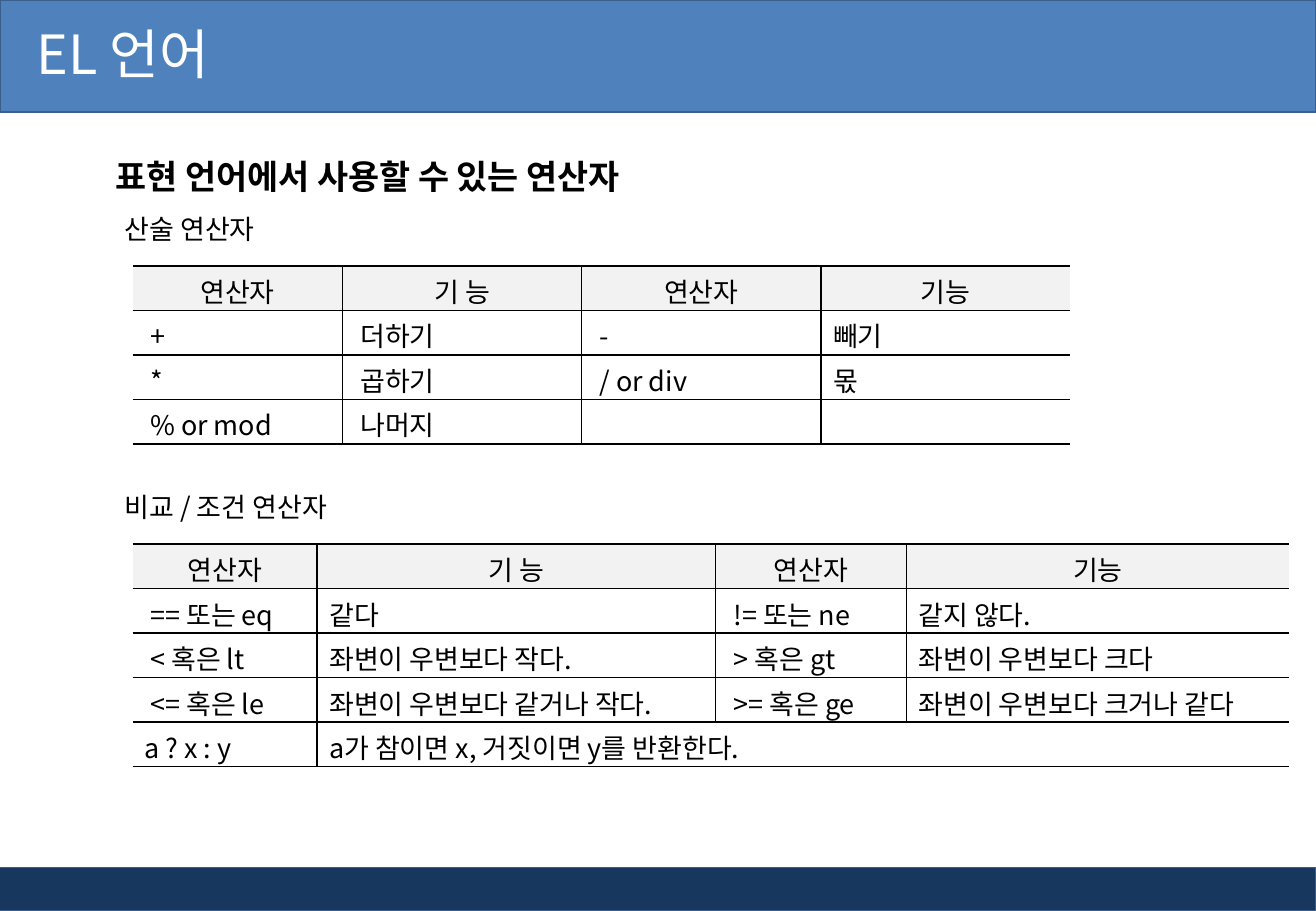
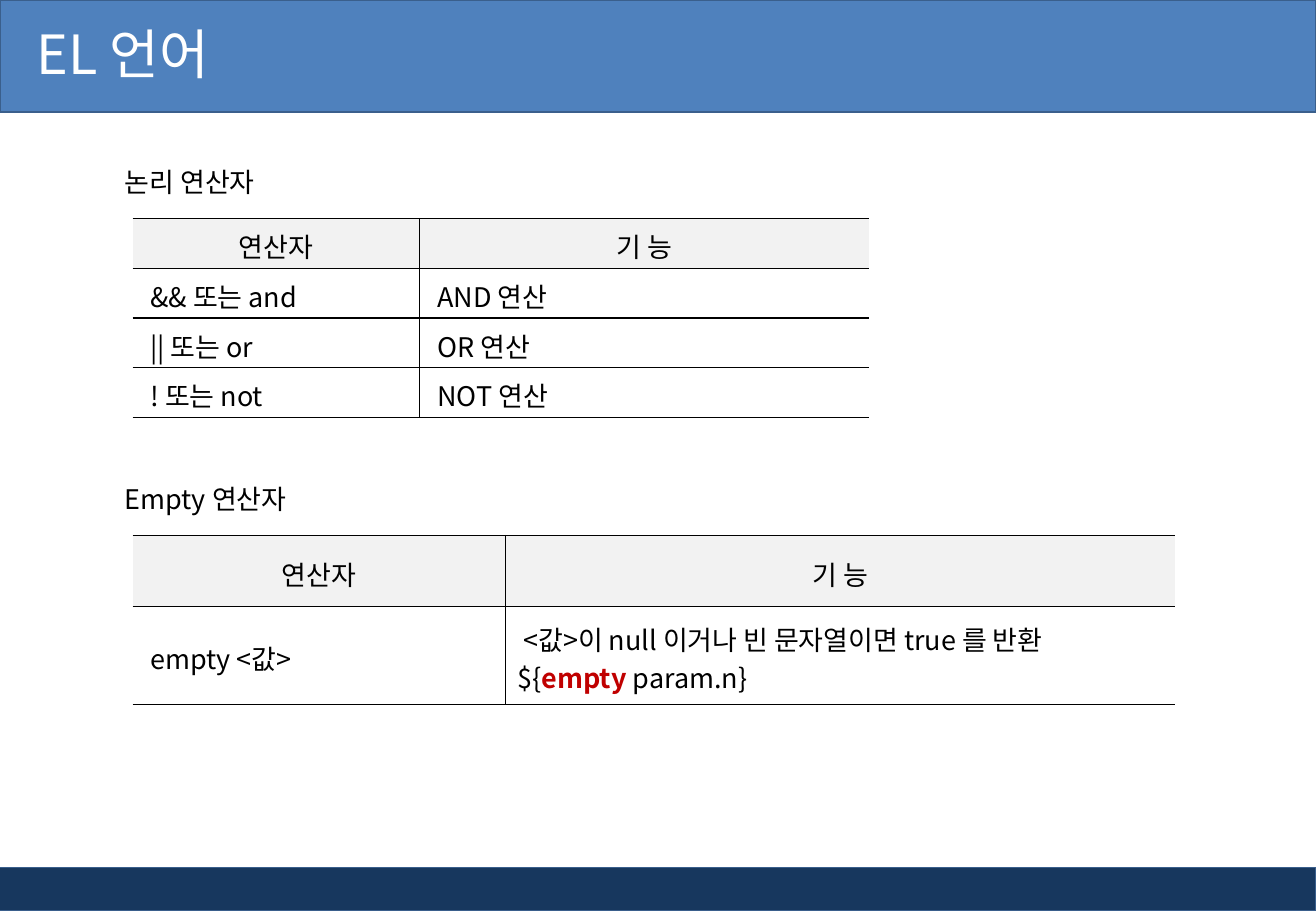
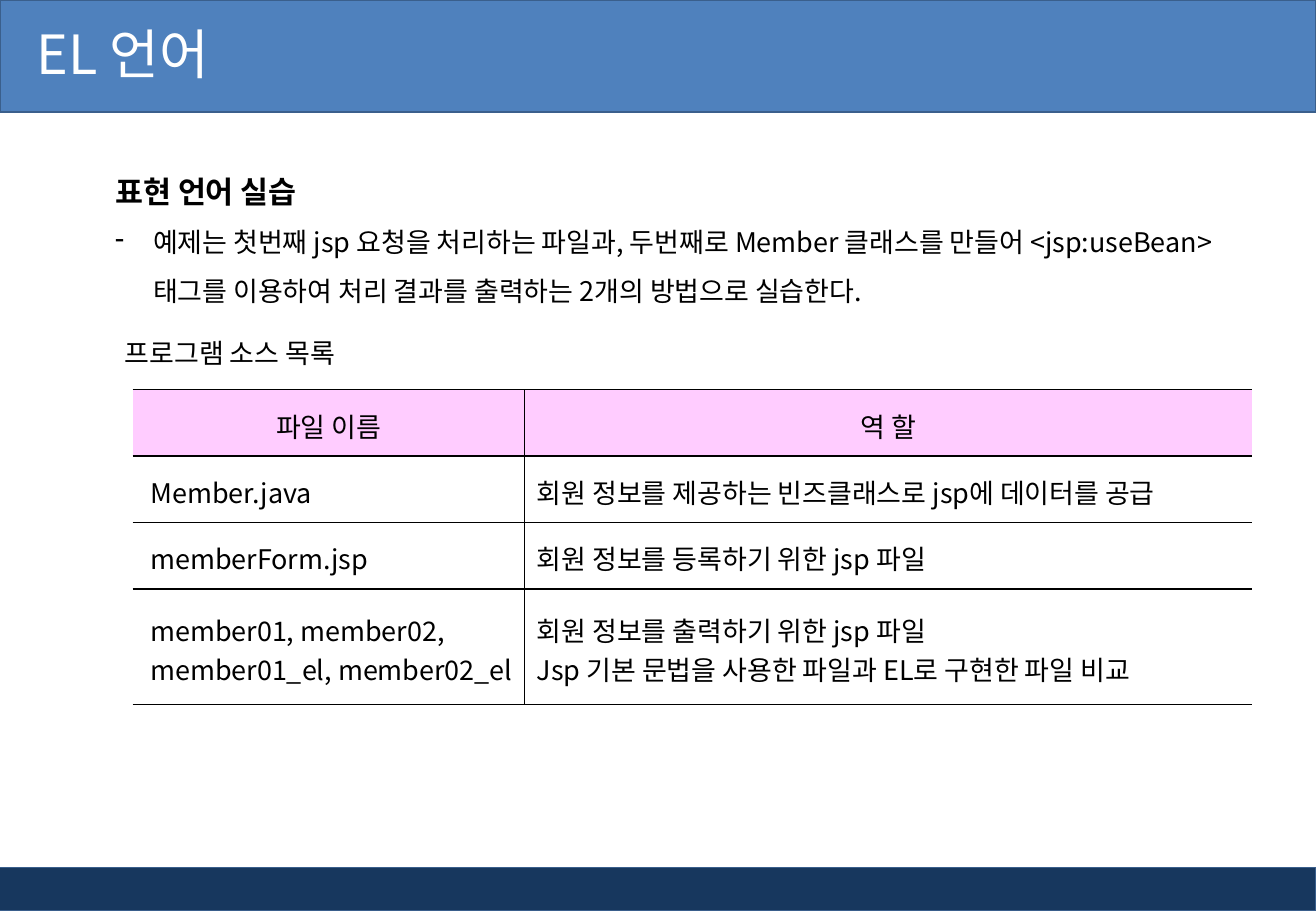
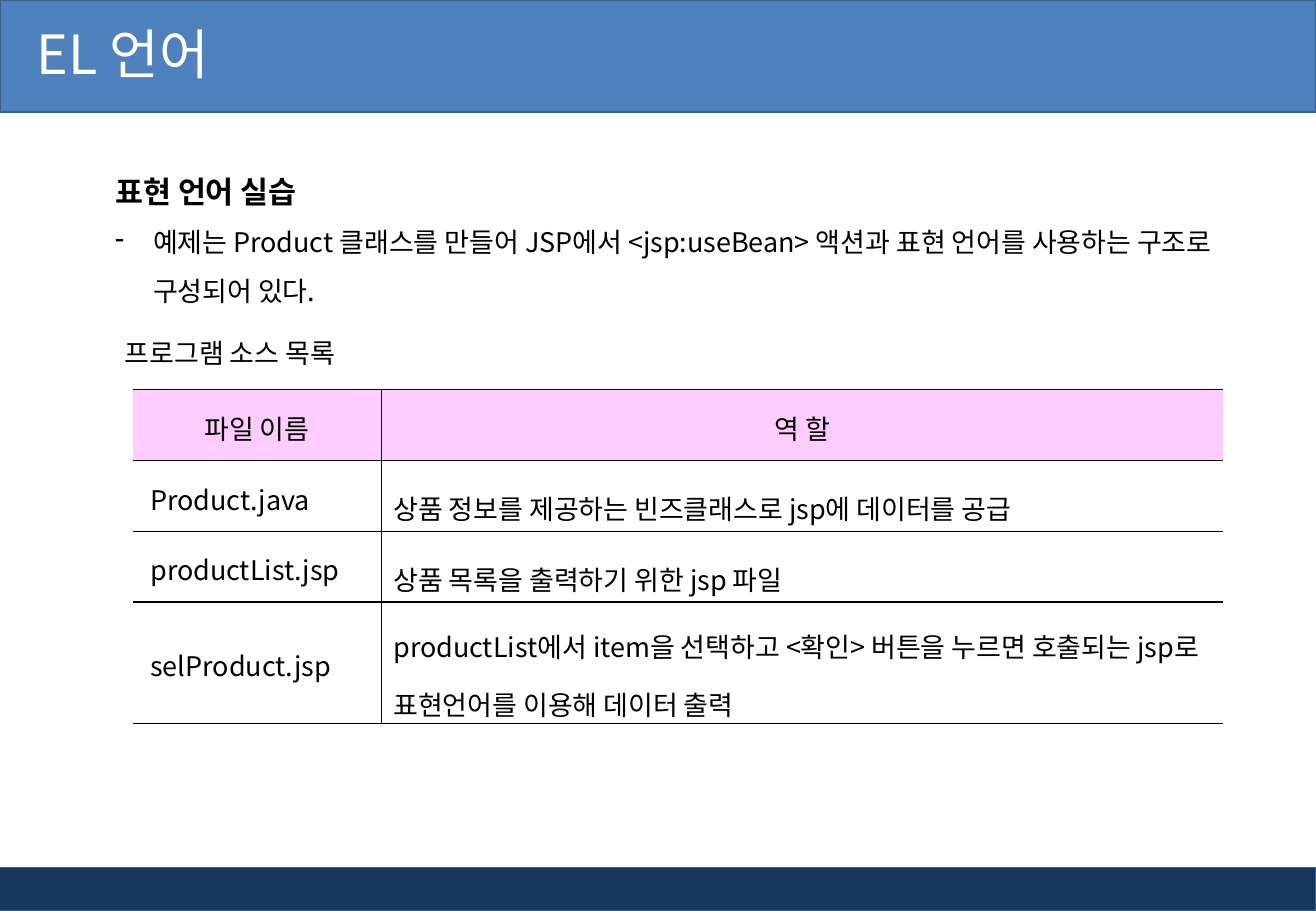
from lxml import etree
from pptx import Presentation
from pptx import util as u
from pptx.dml.color import RGBColor
from pptx.enum import shapes, text
from pptx.oxml.ns import qn

Cm, Pt = u.Cm, u.Pt

FONT = "Noto Sans CJK KR"
BLACK, WHITE, RED = "000000", "FFFFFF", "C00000"
HEADER_BLUE, FOOTER_NAVY, BAND_LINE = "4F81BD", "17375E", "3A5F8C"
GREY, PINK = "F2F2F2", "FFCCFF"
PLAIN_TABLE = "{2D5ABB26-0587-4C30-8999-92F81FD0307C}"
SLIDE_WIDTH, SLIDE_HEIGHT = Cm(27.51), Cm(19.05)
TABLE_LEFT, CAPTION_LEFT, CAPTION_RISE = 2.77, 2.36, 1.24
CELL_INDENT = Cm(0.12)


def paint(color_format, color):
    color_format.rgb = RGBColor.from_string(color)


def fill_solid(fill, color):
    fill.solid()
    paint(fill.fore_color, color)


def write(paragraph, line, size=16, color=BLACK, bold=False, spacing=None, bullet=None):
    properties = paragraph._p.get_or_add_pPr()
    if bullet:
        properties.set("marL", str(Cm(0.79)))
        properties.set("indent", str(-Cm(0.79)))
        etree.SubElement(properties, qn("a:buChar"), char=bullet)
    elif line.startswith(" "):
        properties.set("marL", str(CELL_INDENT))
    if spacing:
        paragraph.line_spacing = spacing
    font = paragraph.font
    font.name, font.size, font.bold = FONT, Pt(size), bold
    paint(font.color, color)
    latin = properties.find(qn("a:defRPr")).find(qn("a:latin"))
    latin.addnext(latin.makeelement(qn("a:ea"), typeface=FONT))
    for position, part in enumerate(line.lstrip().split("**")):
        if part:
            run = paragraph.add_run()
            run.text = part
            if position % 2:
                run.font.bold = True
                paint(run.font.color, RED)


def add_text(slide, left, top, width, height):
    frame = slide.shapes.add_textbox(Cm(left), Cm(top), Cm(width), Cm(height)).text_frame
    frame.word_wrap = True
    return frame


def add_band(slide, layout, left, top, height, color):
    band = slide.shapes.add_shape(shapes.MSO_SHAPE.RECTANGLE, left, top, SLIDE_WIDTH - left, height)
    band.shadow.inherit = False
    fill_solid(band.fill, color)
    paint(band.line.color, BAND_LINE)
    band.line.width = Pt(1)
    layout.element.cSld.spTree.insert(2, band.element)


def add_slide(deck):
    slide = deck.slides.add_slide(deck.slide_layouts[5])
    title = slide.shapes.title
    title.left, title.top, title.width, title.height = Cm(0), Cm(-0.08), Cm(22.2), Cm(2.39)
    frame = title.text_frame
    frame.margin_left = Cm(0.76)
    frame.auto_size = text.MSO_AUTO_SIZE.NONE
    frame.vertical_anchor = text.MSO_ANCHOR.MIDDLE
    frame.paragraphs[0].alignment = text.PP_ALIGN.LEFT
    write(frame.paragraphs[0], "EL 언어", 32, WHITE)
    return slide


def set_up_layout(deck):
    layout = deck.slide_layouts[5]
    for holder in list(layout.placeholders):
        if holder.placeholder_format.type != shapes.PP_PLACEHOLDER.TITLE:
            holder.element.getparent().remove(holder.element)
    first = add_slide(deck)
    add_band(first, layout, Cm(0), Cm(0), Cm(2.34), HEADER_BLUE)
    add_band(first, layout, Cm(-0.1), Cm(18.14), Cm(0.91), FOOTER_NAVY)
    return first


def rule_cell(cell, sides):
    properties = cell._tc.get_or_add_tcPr()
    for side in sides:
        line = etree.SubElement(properties, qn("a:ln" + side), w=str(Pt(1)))
        solid = etree.SubElement(line, qn("a:solidFill"))
        etree.SubElement(solid, qn("a:srgbClr"), val=BLACK)


def fill_cell(cell, content, header_color, spacing):
    fill_solid(cell.fill, header_color or WHITE)
    cell.margin_top, cell.margin_bottom = Cm(0.1), Cm(0)
    cell.vertical_anchor = text.MSO_ANCHOR.MIDDLE
    frame = cell.text_frame
    for number, line in enumerate(content.split("\n")):
        paragraph = frame.add_paragraph() if number else frame.paragraphs[0]
        if header_color:
            paragraph.alignment = text.PP_ALIGN.CENTER
        write(paragraph, line, spacing=spacing)


def add_section(slide, caption, top, widths, heights, rows, header_color=GREY, role_spacing=None):
    label = add_text(slide, CAPTION_LEFT, top - CAPTION_RISE, 6.2, 0.94)
    write(label.paragraphs[0], caption)
    graphic = slide.shapes.add_table(len(rows), len(widths), Cm(TABLE_LEFT), Cm(top),
                                     Cm(sum(widths)), Cm(sum(heights)))
    table = graphic.table
    table._tbl.tblPr.find(qn("a:tableStyleId")).text = PLAIN_TABLE
    for column, width in zip(table.columns, widths):
        column.width = Cm(width)
    for row, height in zip(table.rows, heights):
        row.height = Cm(height)
    last = len(widths) - 1
    for r, contents in enumerate(rows):
        final = len(contents) - 1
        if final < last:
            table.cell(r, final).merge(table.cell(r, last))
        for c in range(last + 1):
            left = ["L"] if 0 < c <= final else []
            right = ["R"] if c < final else []
            rule_cell(table.cell(r, c), left + right + ["T", "B"])
        for c, content in enumerate(contents):
            spacing = role_spacing if r and c else None
            fill_cell(table.cell(r, c), content, None if r else header_color, spacing)


def add_practice(slide, explanation, widths, heights, rows, role_spacing=None):
    intro = add_text(slide, 2.16, 3.12, 23.6, 3.45)
    write(intro.paragraphs[0], "표현 언어 실습", 18, bold=True, spacing=1.5)
    write(intro.add_paragraph(), explanation, spacing=1.5, bullet="-")
    add_section(slide, "프로그램 소스 목록", 8.15, widths, heights,
                [("파일 이름", "역 할")] + rows, PINK, role_spacing)


def main():
    deck = Presentation()
    deck.slide_width, deck.slide_height = SLIDE_WIDTH, SLIDE_HEIGHT
    four_headings = ("연산자", "기 능", "연산자", "기능")
    two_headings = four_headings[:2]

    arithmetic = set_up_layout(deck)
    heading = add_text(arithmetic, 2.16, 2.72, 25.2, 1.37)
    write(heading.paragraphs[0], "표현 언어에서 사용할 수 있는 연산자", 20, bold=True, spacing=1.5)
    add_section(arithmetic, "산술 연산자", 5.56, [4.39, 5, 5, 5.2], [0.93] * 4, [
        four_headings,
        (" +", " 더하기", " -", "빼기"),
        (" *", " 곱하기", " / or div", "몫"),
        (" % or mod", " 나머지", "", ""),
    ])
    add_section(arithmetic, "비교 / 조건 연산자", 11.38, [3.86, 8.33, 3.99, 8], [0.93] * 5, [
        four_headings,
        (" == 또는 eq", "같다", " != 또는 ne", "같지 않다."),
        (" < 혹은 lt", "좌변이 우변보다 작다.", " > 혹은 gt", "좌변이 우변보다 크다"),
        (" <= 혹은 le", "좌변이 우변보다 같거나 작다.", " >= 혹은 ge", "좌변이 우변보다 크거나 같다"),
        ("a ? x : y", "a가 참이면 x, 거짓이면 y를 반환한다."),
    ])

    logic = add_slide(deck)
    add_section(logic, "논리 연산자", 4.57, [6, 9.4], [1.04] * 4, [
        two_headings,
        (" && 또는 and", " AND 연산"),
        (" || 또는 or", " OR 연산"),
        (" ! 또는 not", " NOT 연산"),
    ])
    add_section(logic, "Empty 연산자", 11.2, [7.8, 14], [1.48, 2.05], [
        two_headings,
        (" empty <값>", " <값>이 null 이거나 빈 문자열이면 true 를 반환\n${**empty **param.n}"),
    ])

    add_practice(
        add_slide(deck),
        "예제는 첫번째 jsp 요청을 처리하는 파일과, 두번째로 Member 클래스를 만들어 "
        "<jsp:useBean>태그를 이용하여 처리 결과를 출력하는 2개의 방법으로 실습한다.",
        [8.2, 15.2], [1.39] * 3 + [2.41], [
            (" Member.java", "회원 정보를 제공하는 빈즈클래스로 jsp에 데이터를 공급"),
            (" memberForm.jsp", "회원 정보를 등록하기 위한 jsp 파일"),
            (" member01, member02,\n member01_el, member02_el",
             "회원 정보를 출력하기 위한 jsp 파일\n"
             "Jsp 기본 문법을 사용한 파일과 EL로 구현한 파일 비교"),
        ])
    add_practice(
        add_slide(deck),
        "예제는 Product 클래스를 만들어 JSP에서 <jsp:useBean> 액션과 "
        "표현 언어를 사용하는 구조로 구성되어 있다.",
        [5.2, 17.6], [1.48] * 3 + [2.54], [
            (" Product.java", "상품 정보를 제공하는 빈즈클래스로 jsp에 데이터를 공급"),
            (" productList.jsp", "상품 목록을 출력하기 위한 jsp 파일"),
            (" selProduct.jsp",
             "productList에서 item을 선택하고 <확인> 버튼을 누르면 호출되는 "
             "jsp로 표현언어를 이용해 데이터 출력"),
        ], role_spacing=1.5)

    deck.save("out.pptx")


if __name__ == "__main__":
    main()
